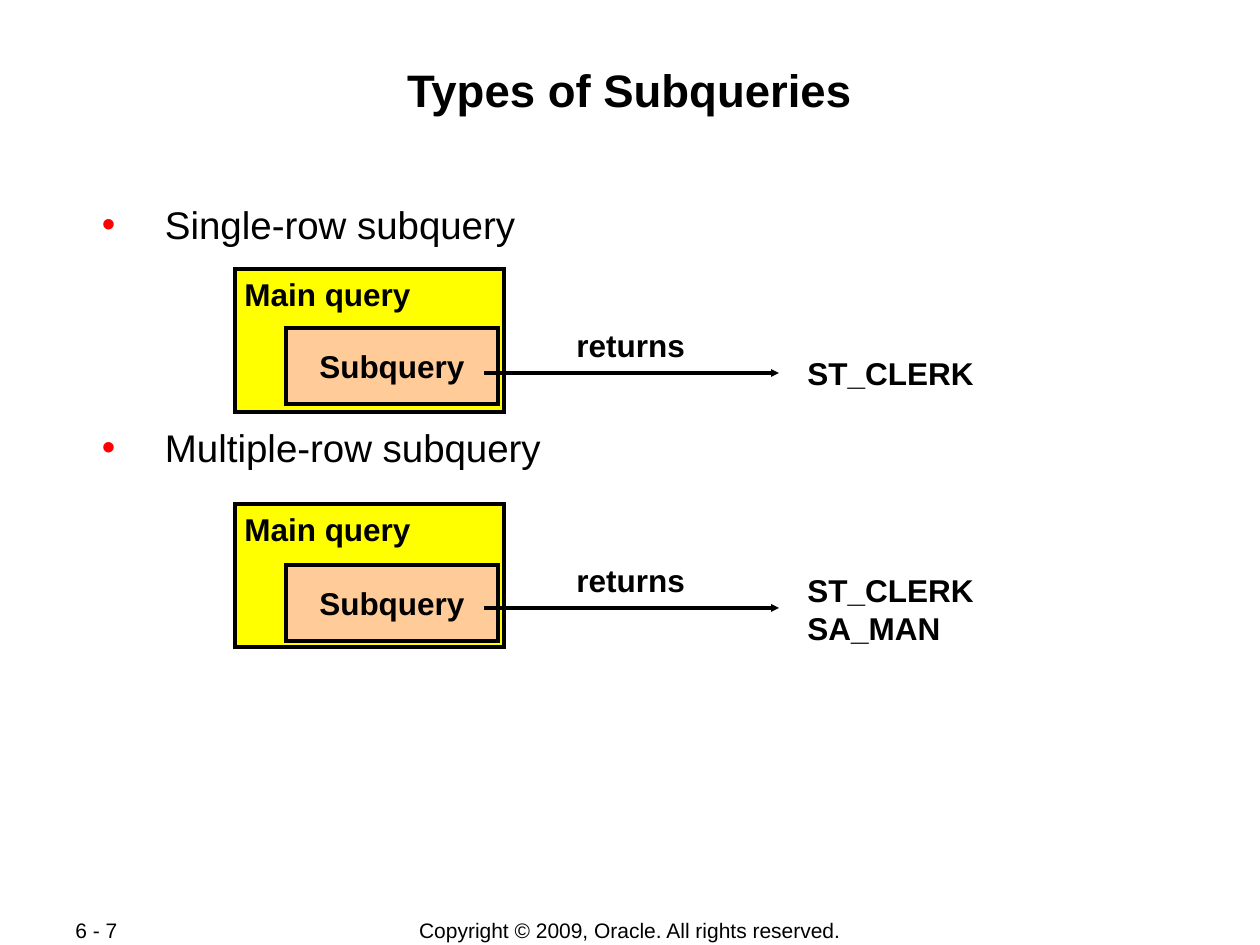
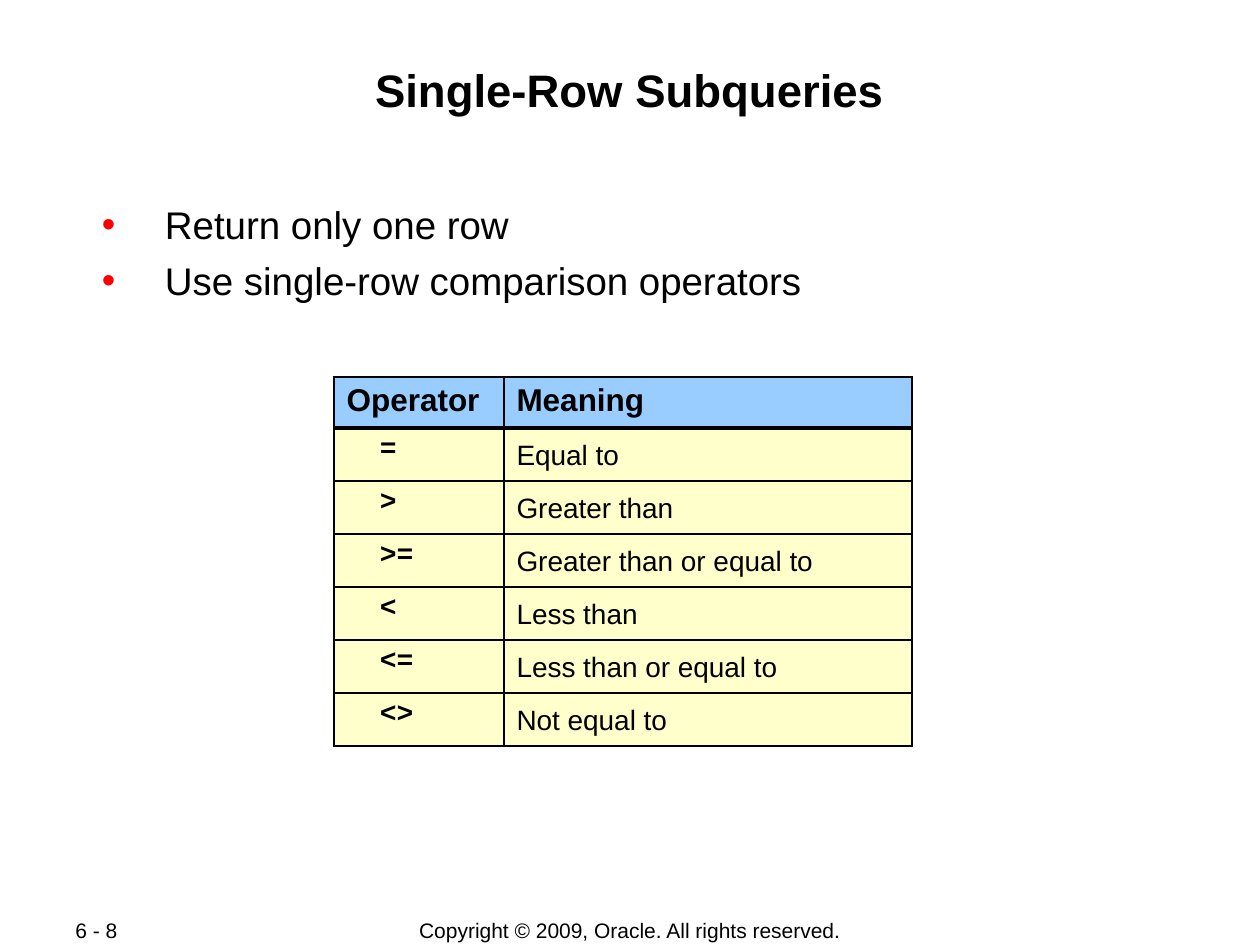
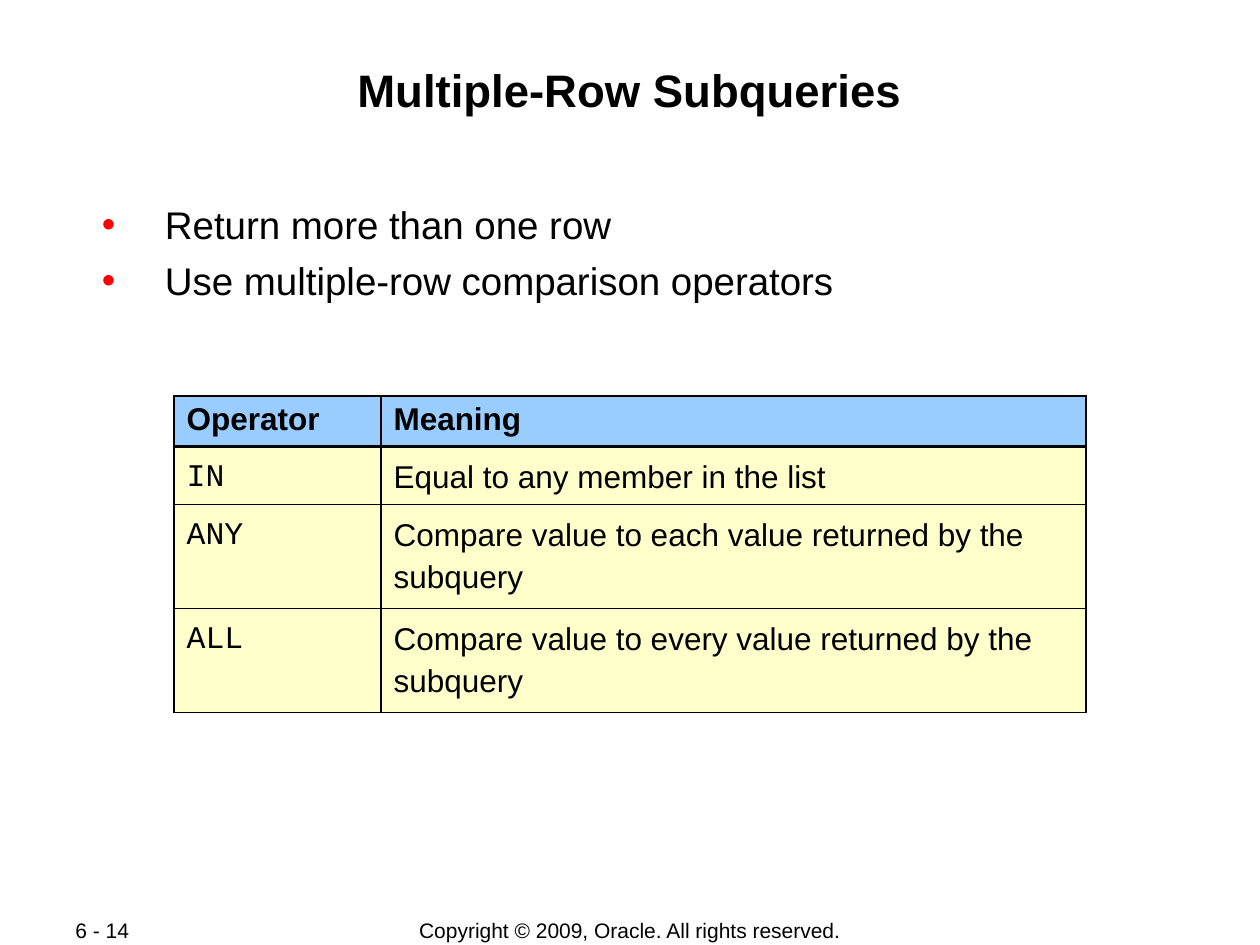
"""Build three slides on single-row and multiple-row subqueries."""
from lxml import etree
from pptx import Presentation
from pptx.dml.color import RGBColor
from pptx.enum.shapes import MSO_CONNECTOR, MSO_SHAPE
from pptx.enum.text import MSO_ANCHOR, PP_ALIGN
from pptx.oxml.ns import qn
from pptx.util import Pt

PX = 914400 / 126
BLACK = RGBColor(0, 0, 0)
YELLOW = RGBColor(0xFF, 0xFF, 0)
PEACH = RGBColor(0xFF, 0xCC, 0x99)
BLUE = RGBColor(0x99, 0xCC, 0xFF)
CREAM = RGBColor(0xFF, 0xFF, 0xCC)
RED = RGBColor(0xFF, 0, 0)
SANS, MONO = "Arial", "Courier New"
LEFT, CENTER = PP_ALIGN.LEFT, PP_ALIGN.CENTER
MIDDLE, TOP = MSO_ANCHOR.MIDDLE, MSO_ANCHOR.TOP
RECT, LINE = MSO_SHAPE.RECTANGLE, MSO_CONNECTOR.STRAIGHT
HEAD = ("Operator", "Meaning")


def px(*sizes):
    return [round(size * PX) for size in sizes]


def write(frame, lines, size, bold=False, face=SANS, align=LEFT, anchor=TOP):
    frame.word_wrap = True
    frame.vertical_anchor = anchor
    for i, line in enumerate(lines):
        para = frame.add_paragraph() if i else frame.paragraphs[0]
        para.alignment = align
        run = para.add_run()
        run.text = line
        run.font.name = face
        run.font.size = Pt(size)
        run.font.bold = bold
        run.font.color.rgb = BLACK
    return frame


deck = Presentation()
deck.slide_width, deck.slide_height = px(1260, 945)

pages = [
    ("Types of Subqueries", "6 - 7",
     ["Single-row subquery", "Multiple-row subquery"], 273, 101),
    ("Single-Row Subqueries", "6 - 8",
     ["Return only one row", "Use single-row comparison operators"], 106, 5.5),
    ("Multiple-Row Subqueries", "6 - 14",
     ["Return more than one row", "Use multiple-row comparison operators"], 106, 5.5),
]
slides = []
for title, page, points, height, gap in pages:
    slide = deck.slides.add_slide(deck.slide_layouts[6])
    slides.append(slide)
    add = slide.shapes.add_textbox
    write(add(*px(347, 917, 566, 27)).text_frame,
          ["Copyright © 2009, Oracle. All rights reserved."],
          12, align=CENTER, anchor=MIDDLE)
    write(add(*px(63, 917, 134, 26)).text_frame, [page], 12, anchor=MIDDLE)
    name = write(add(*px(84, 61, 1091, 121)).text_frame, [title],
                 26, True, align=CENTER)
    body = write(add(*px(85, 200, 1091, height)).text_frame, points, 22)
    for frame in (name, body):
        frame.margin_left, frame.margin_top, frame.margin_right, frame.margin_bottom = px(1, 1, 1, 1)
    for para in body.paragraphs:
        props = para._p.get_or_add_pPr()
        left, hang = px(79, -63)
        props.set("marL", str(left))
        props.set("indent", str(hang))
        tint = etree.SubElement(props, qn("a:buClr"))
        etree.SubElement(tint, qn("a:srgbClr"), val=str(RED))
        etree.SubElement(props, qn("a:buFont"), typeface=SANS)
        etree.SubElement(props, qn("a:buChar"), char="•")
    body.paragraphs[1].space_before = Pt(gap)

shapes = slides[0].shapes
flows = [
    (269, 328, 373, 348, 50, ["ST_CLERK"]),
    (504, 565, 608, 565, 88, ["ST_CLERK", "SA_MAN"]),
]
for top, inner, mid, out, tall, values in flows:
    for spot, color, words in (
        ((235, top, 269, 143), YELLOW, []),
        ((286, inner, 212, 76), PEACH, ["Subquery"]),
    ):
        box = shapes.add_shape(RECT, *px(*spot))
        box.shadow.inherit = False
        box.fill.solid()
        box.fill.fore_color.rgb = color
        box.line.color.rgb = BLACK
        box.line.width = Pt(2.25)
        etree.SubElement(box.line._get_or_add_ln(), qn("a:miter"), lim="800000")
        write(box.text_frame, words, 18, True, align=CENTER, anchor=MIDDLE)
    arrow = shapes.add_connector(LINE, *px(484, mid, 779, mid))
    arrow.line.color.rgb = BLACK
    arrow.line.width = Pt(2.25)
    etree.SubElement(arrow.line._get_or_add_ln(), qn("a:tailEnd"),
                     type="triangle", w="sm", len="sm")
    etree.SubElement(arrow._element.spPr, qn("a:effectLst"))
    for spot, words in (
        ((232, top, 210, 50), ["Main query"]),
        ((564, top + 51, 150, 50), ["returns"]),
        ((795, out, 210, tall), values),
    ):
        write(shapes.add_textbox(*px(*spot)).text_frame, words, 18, True)

single = [
    HEAD,
    ("=", "Equal to"),
    (">", "Greater than"),
    (">=", "Greater than or equal to"),
    ("<", "Less than"),
    ("<=", "Less than or equal to"),
    ("<>", "Not equal to"),
]
multi = [
    HEAD,
    ("IN", "Equal to any member in the list"),
    ("ANY", "Compare value to each value returned by the subquery"),
    ("ALL", "Compare value to every value returned by the subquery"),
]
tables = [
    (slides[1], single, (334, 377), (170, 408), [51] + [53] * 6, 16, True, 0.95, 33),
    (slides[2], multi, (174, 396), (207, 705), [50, 58, 104, 104], 18, False, 1.2, 0),
]
for slide, rows, spot, wides, talls, size, bold, space, indent in tables:
    grid = slide.shapes.add_table(
        len(rows), 2, *px(*spot, sum(wides), sum(talls))).table
    grid.first_row = grid.horz_banding = False
    for col, wide in zip(grid.columns, px(*wides)):
        col.width = wide
    for row, tall in zip(grid.rows, px(*talls)):
        row.height = tall
    for r, words in enumerate(rows):
        for c, word in enumerate(words):
            cell = grid.cell(r, c)
            props = cell._tc.get_or_add_tcPr()
            for side in "LRTB":
                thick = (r, side) in ((0, "B"), (1, "T"))
                edge = etree.SubElement(props, qn("a:ln" + side),
                                        w=str(Pt(2.21 if thick else 1.08)))
                paint = etree.SubElement(edge, qn("a:solidFill"))
                etree.SubElement(paint, qn("a:srgbClr"), val=str(BLACK))
            cell.fill.solid()
            cell.fill.fore_color.rgb = CREAM if r else BLUE
            if r == 0:
                write(cell.text_frame, [word], 18, True)
                continue
            code = c == 0
            write(cell.text_frame, [word], size, bold and code,
                  MONO if code else SANS)
            cell.text_frame.paragraphs[0].line_spacing = space if code else 1.2
            if code and indent:
                cell.margin_left = px(13 + indent)[0]

deck.save("out.pptx")
